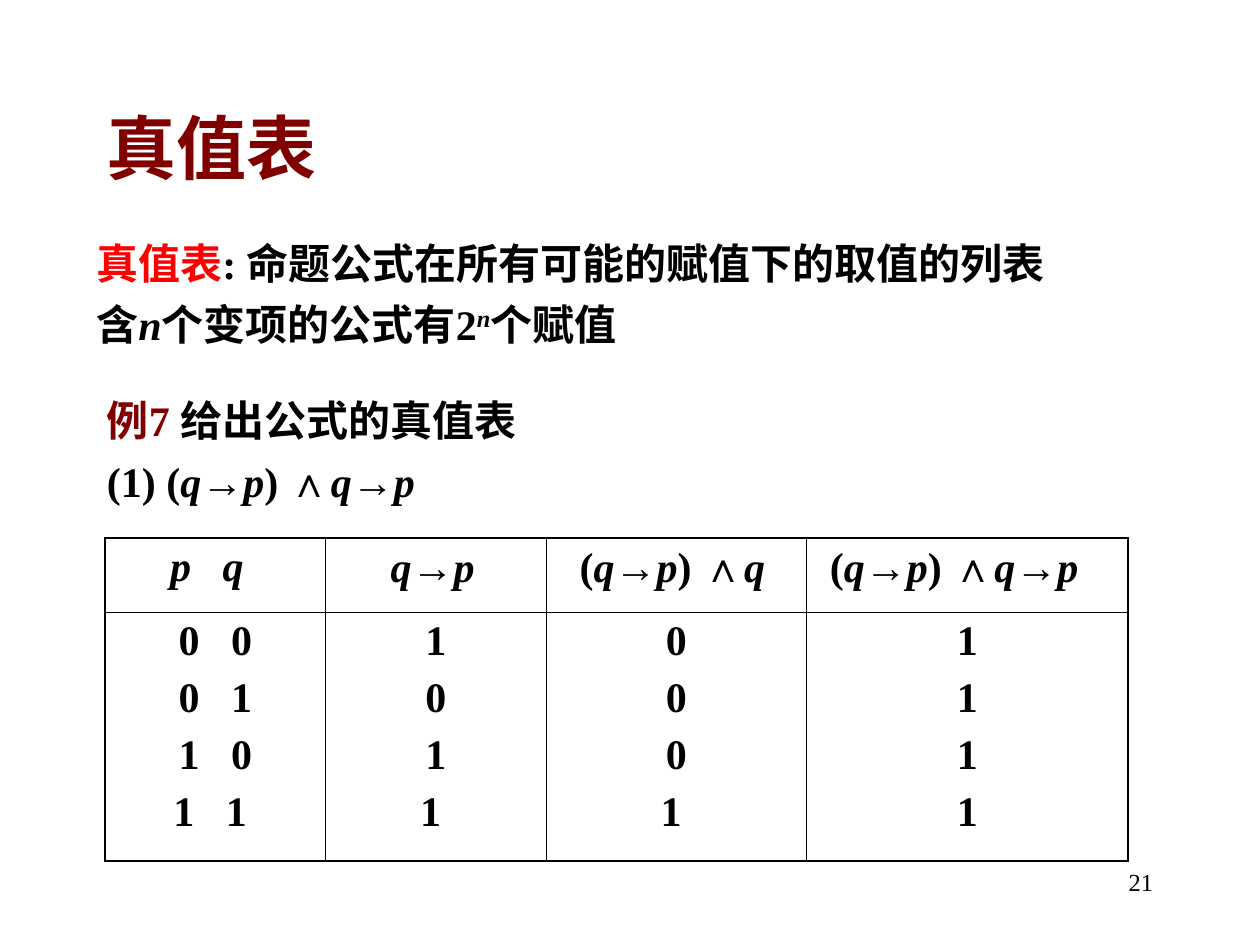
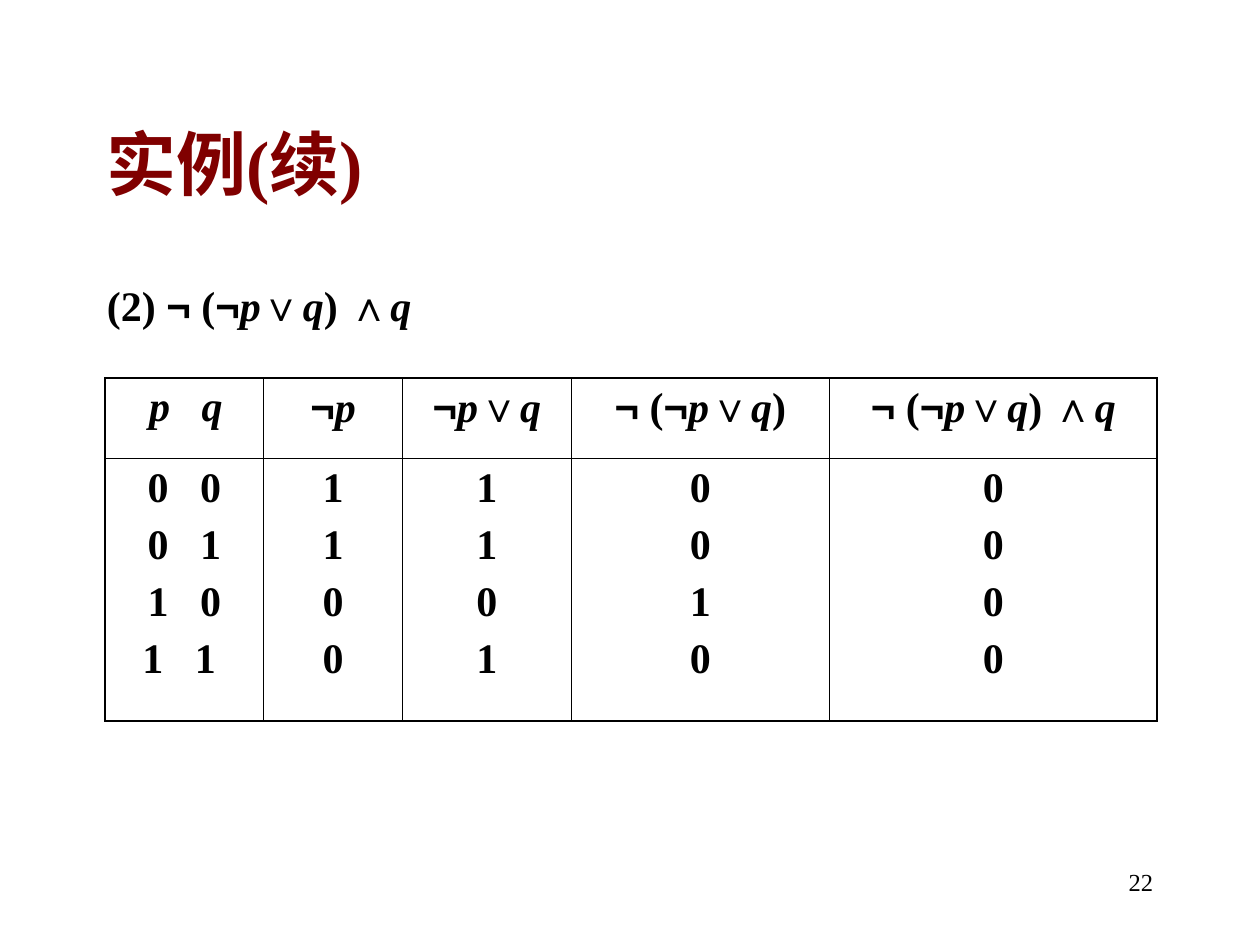
from itertools import groupby

from lxml import etree
from pptx import Presentation
from pptx.dml.color import RGBColor
from pptx.enum import text as t
from pptx.oxml import ns
from pptx.util import Pt

# Content: each paragraph is a list of (text, colour name, superscript)
SLIDES = [
    {
        "number": "21",
        "title": ("真值表", 72),
        "texts": [
            ((54, 222, 612, 78), [
                [("例7 ", "maroon", False), ("给出公式的真值表", "black", False)],
                [("(1) (q→p) ∧q→p", "black", False)],
            ]),
            ((48, 132, 624, 71), [
                [("真值表", "red", False),
                 (": 命题公式在所有可能的赋值下的取值的列表", "black", False)],
                [("含n个变项的公式有2", "black", False), ("n", "black", True),
                 ("个赋值", "black", False)],
            ]),
        ],
        "table": {
            "top": 307.4,
            "heights": (42.5, 142),
            "pair_start": 30,
            # heading, left indent (None = centred), column width, values
            "columns": [
                ("p q", 0, 126, ["0 0", "0 1", "1 0", "1 1 "]),
                ("q→p", 30, 126, ["1", "0", "1", "1 "]),
                ("(q→p) ∧q", 12, 149, ["0", "0", "0", "1 "]),
                ("(q→p) ∧q→p", 6, 183.6, ["1", "1", "1", "1"]),
            ],
        },
    },
    {
        "number": "22",
        "title": ("实例(续)", 90),
        "texts": [
            ((54, 156, 612, 270), [[("(2) ¬ (¬p∨q) ∧q", "black", False)]]),
        ],
        "table": {
            "top": 216,
            "heights": (46, 150),
            "pair_start": 18,
            "columns": [
                ("p q", 0, 90.7, ["0 0", "0 1", "1 0", "1 1 "]),
                ("¬p", None, 79.2, ["1", "1", "0", "0"]),
                ("¬p∨q", None, 96.5, ["1", "1", "0", "1"]),
                ("¬ (¬p∨q)", None, 147.6, ["0", "0", "1", "0"]),
                ("¬ (¬p∨q) ∧q", None, 187.2, ["0", "0", "0", "0"]),
            ],
        },
    },
]

# Shared look
COLOURS = {"black": "000000", "white": "FFFFFF", "maroon": "800000", "red": "FF0000"}
BODY = {"size": Pt(24), "bold": True}
TITLE = {"size": Pt(40), "bold": True}
NUMBER = {"size": Pt(14), "bold": False}
TABLE_LEFT = 60
INSET = 7.2
DIGIT, SPACE = 12, 6          # widths of a digit and a space at 24 pt
PAIR_STEP = DIGIT + 3 * SPACE
GAP = Pt(6)
OUTER, INNER = Pt(1.08), Pt(0.45)


def colour(name):
    return RGBColor.from_string(COLOURS[name])


def symbol_kind(character):
    """Variables are italic and logic symbols use the sans font."""
    if character in "pqn":
        return "Times New Roman", True
    return ("Arial" if character in "→∧∨¬" else "Times New Roman"), False


def write(paragraph, words, colour_name, style, raised=False):
    for (face, italic), characters in groupby(words, symbol_kind):
        run = paragraph.add_run()
        run.text = "".join(characters)
        for name, value in {**style, "name": face, "italic": italic}.items():
            setattr(run.font, name, value)
        run.font.color.rgb = colour(colour_name)
        if raised:
            run.font._element.set("baseline", "30000")


def paragraphs(frame, count):
    """Yield the paragraphs of a frame, with a gap between them."""
    for index in range(count):
        paragraph = frame.add_paragraph() if index else frame.paragraphs[0]
        if index:
            paragraph.space_before = GAP
        yield paragraph


def add_text(slide, box, lines, style, anchor=t.MSO_ANCHOR.TOP, align=t.PP_ALIGN.LEFT):
    frame = slide.shapes.add_textbox(*map(Pt, box)).text_frame
    frame.word_wrap = True
    frame.vertical_anchor = anchor
    for paragraph, line in zip(paragraphs(frame, len(lines)), lines):
        paragraph.alignment = align
        for words, colour_name, raised in line:
            write(paragraph, words, colour_name, style, raised)


def write_pair(paragraph, pair, start):
    """Set two symbols on two tab stops."""
    properties = paragraph._p.get_or_add_pPr()
    stops = etree.SubElement(properties, ns.qn("a:tabLst"))
    for position in (start, start + PAIR_STEP):
        etree.SubElement(stops, ns.qn("a:tab"), pos=str(Pt(position)), algn="l")
    write(paragraph, "".join("\t" + symbol for symbol in pair.split()), "black", BODY)


def style_cell(cell, edges):
    properties = cell._tc.get_or_add_tcPr()
    for side, width in edges.items():
        line = etree.SubElement(properties, ns.qn("a:ln" + side), w=str(width))
        fill = etree.SubElement(line, ns.qn("a:solidFill"))
        etree.SubElement(fill, ns.qn("a:srgbClr"), val=COLOURS["black"])
    cell.fill.solid()
    cell.fill.fore_color.rgb = colour("white")


def add_truth_table(slide, data):
    columns, heights = data["columns"], data["heights"]
    total = sum(column[2] for column in columns)
    table = slide.shapes.add_table(
        2, len(columns), Pt(TABLE_LEFT), Pt(data["top"]), Pt(total), Pt(sum(heights))).table
    for row, height in zip(table.rows, heights):
        row.height = Pt(height)
    last = len(columns) - 1
    for index, (heading, indent, width, values) in enumerate(columns):
        table.columns[index].width = Pt(width)
        for row in range(2):
            style_cell(table.cell(row, index), {
                "L": INNER if index else OUTER,
                "R": OUTER if index == last else INNER,
                "T": INNER if row else OUTER,
                "B": OUTER if row else INNER,
            })
        # Heading
        paragraph = table.cell(0, index).text_frame.paragraphs[0]
        if index == 0:
            write_pair(paragraph, heading, data["pair_start"])
        else:
            if indent is None:
                paragraph.alignment = t.PP_ALIGN.CENTER
            else:
                paragraph._p.get_or_add_pPr().set("marL", str(Pt(indent)))
            write(paragraph, heading, "black", BODY)
        # Values
        frame = table.cell(1, index).text_frame
        for paragraph, value in zip(paragraphs(frame, len(values)), values):
            if index == 0:
                used = DIGIT + PAIR_STEP + SPACE * value.endswith(" ")
                write_pair(paragraph, value, (width - 2 * INSET - used) / 2)
            else:
                paragraph.alignment = t.PP_ALIGN.CENTER
                write(paragraph, value, "black", BODY)


def main():
    presentation = Presentation()
    presentation.slide_width, presentation.slide_height = Pt(720), Pt(540)
    for content in SLIDES:
        slide = presentation.slides.add_slide(presentation.slide_layouts[6])
        add_text(slide, (516, 492, 150, 36), [[(content["number"], "black", False)]],
                 NUMBER, align=t.PP_ALIGN.RIGHT)
        title, height = content["title"]
        add_text(slide, (54, 48, 612, height), [[(title, "maroon", False)]],
                 TITLE, anchor=t.MSO_ANCHOR.MIDDLE)
        for box, lines in content["texts"]:
            add_text(slide, box, lines, BODY)
        add_truth_table(slide, content["table"])
    presentation.save("out.pptx")


if __name__ == "__main__":
    main()
